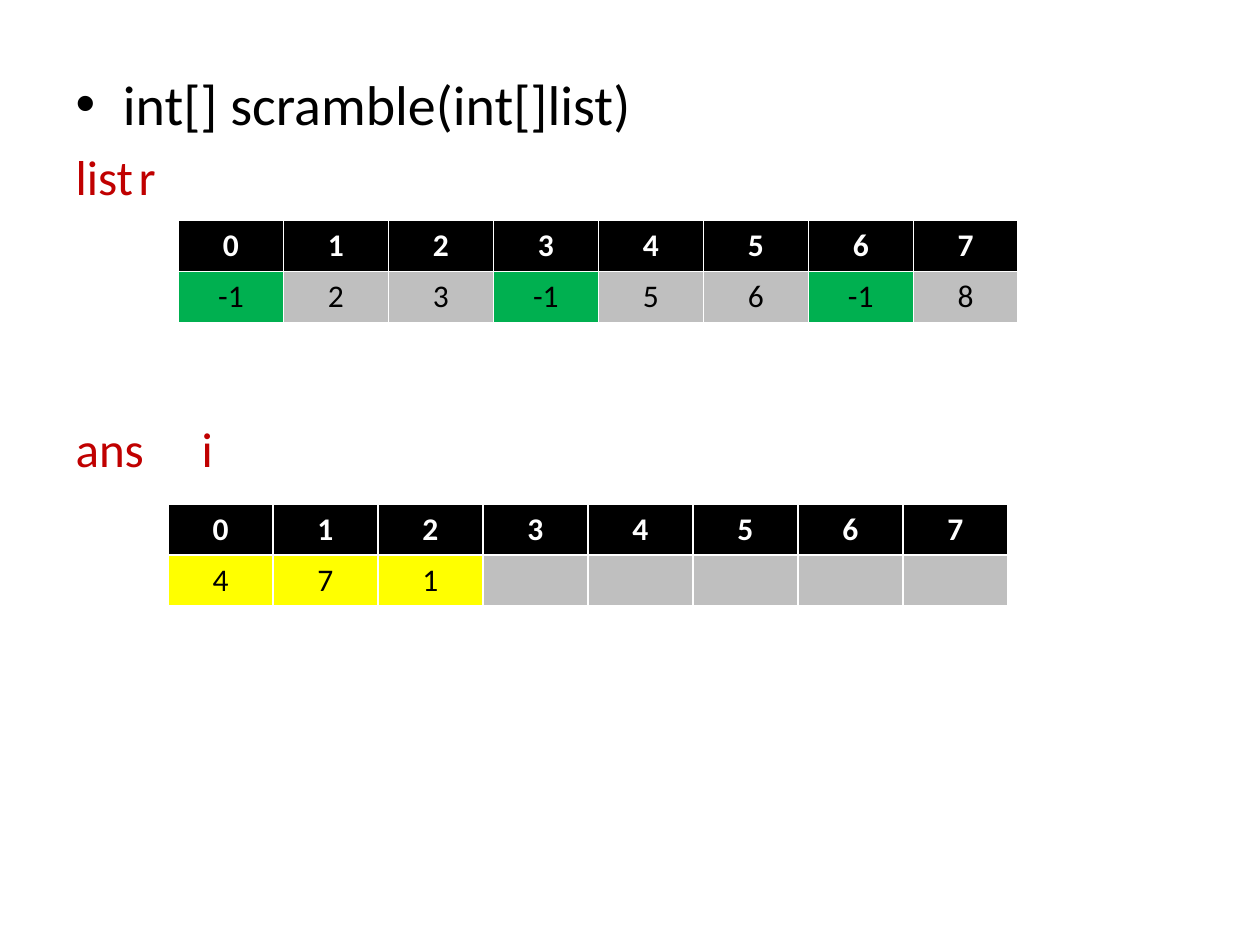
from lxml.etree import SubElement
from pptx import Presentation
from pptx.dml.color import RGBColor
from pptx.enum.text import PP_ALIGN
from pptx.oxml.ns import qn
from pptx.util import Pt

BLACK = RGBColor(0x00, 0x00, 0x00)
WHITE = RGBColor(0xFF, 0xFF, 0xFF)
RED = RGBColor(0xC0, 0x00, 0x00)
GREEN = RGBColor(0x00, 0xB0, 0x50)
YELLOW = RGBColor(0xFF, 0xFF, 0x00)
GREY = RGBColor(0xBF, 0xBF, 0xBF)
FACE = "Calibri"
COL, ROW = 60, 29.2


def style(para, size, color, bold=False):
    """Set the font of a whole paragraph."""
    font = para.font
    font.name, font.size, font.bold = FACE, Pt(size), bold
    font.color.rgb = color


def label(frame, name, index, stop, gap):
    """Add a red line with an array name and its index at a tab stop."""
    para = frame.add_paragraph()
    para.text = f"{name}\t{index}"
    props = para._p.get_or_add_pPr()
    props.set("marL", "0")
    props.set("indent", "0")
    SubElement(props, qn("a:buNone"))
    tabs = SubElement(props, qn("a:tabLst"))
    SubElement(tabs, qn("a:tab"), pos=str(Pt(stop)), algn="l")
    para.space_before = Pt(gap)
    style(para, 28, RED)


def body(shape, left, top, width, height):
    """Fill the body placeholder with the signature and array labels."""
    shape.left, shape.top = Pt(left), Pt(top)
    shape.width, shape.height = Pt(width), Pt(height)
    frame = shape.text_frame
    first = frame.paragraphs[0]
    first.text = "int[] scramble(int[]list)"
    first.space_before = Pt(0)
    style(first, 32, BLACK)
    label(frame, "list", "r", 261, 5.6)
    label(frame, "ans", "i", 254, 122)


def paint(cell, text, fill, color, bold):
    """Write one centred table cell."""
    cell.fill.solid()
    cell.fill.fore_color.rgb = fill
    para = cell.text_frame.paragraphs[0]
    para.text = text
    para.alignment = PP_ALIGN.CENTER
    style(para, 18, color, bold)


def array(slide, left, top, values, marked, tint):
    """Draw an array as a row of indices above a row of values."""
    count = len(values)
    table = slide.shapes.add_table(
        2, count, Pt(left), Pt(top), Pt(COL * count), Pt(2 * ROW)).table
    for row in table.rows:
        row.height = Pt(ROW)
    for pos, value in enumerate(values):
        paint(table.cell(0, pos), str(pos), BLACK, WHITE, True)
        fill = tint if pos in marked else GREY
        paint(table.cell(1, pos), value, fill, BLACK, False)


def main():
    """Build and save the slide."""
    deck = Presentation()
    deck.slide_width, deck.slide_height = Pt(720), Pt(540)
    slide = deck.slides.add_slide(deck.slide_layouts[1])
    title = slide.shapes.title._element
    title.getparent().remove(title)
    body(slide.placeholders[1], 36, 36, 654, 446)
    array(slide, 102, 126, ["-1", "2", "3", "-1", "5", "6", "-1", "8"],
          (0, 3, 6), GREEN)
    array(slide, 96, 288, ["4", "7", "1"] + [""] * 5, (0, 1, 2), YELLOW)
    deck.save("out.pptx")


if __name__ == "__main__":
    main()
